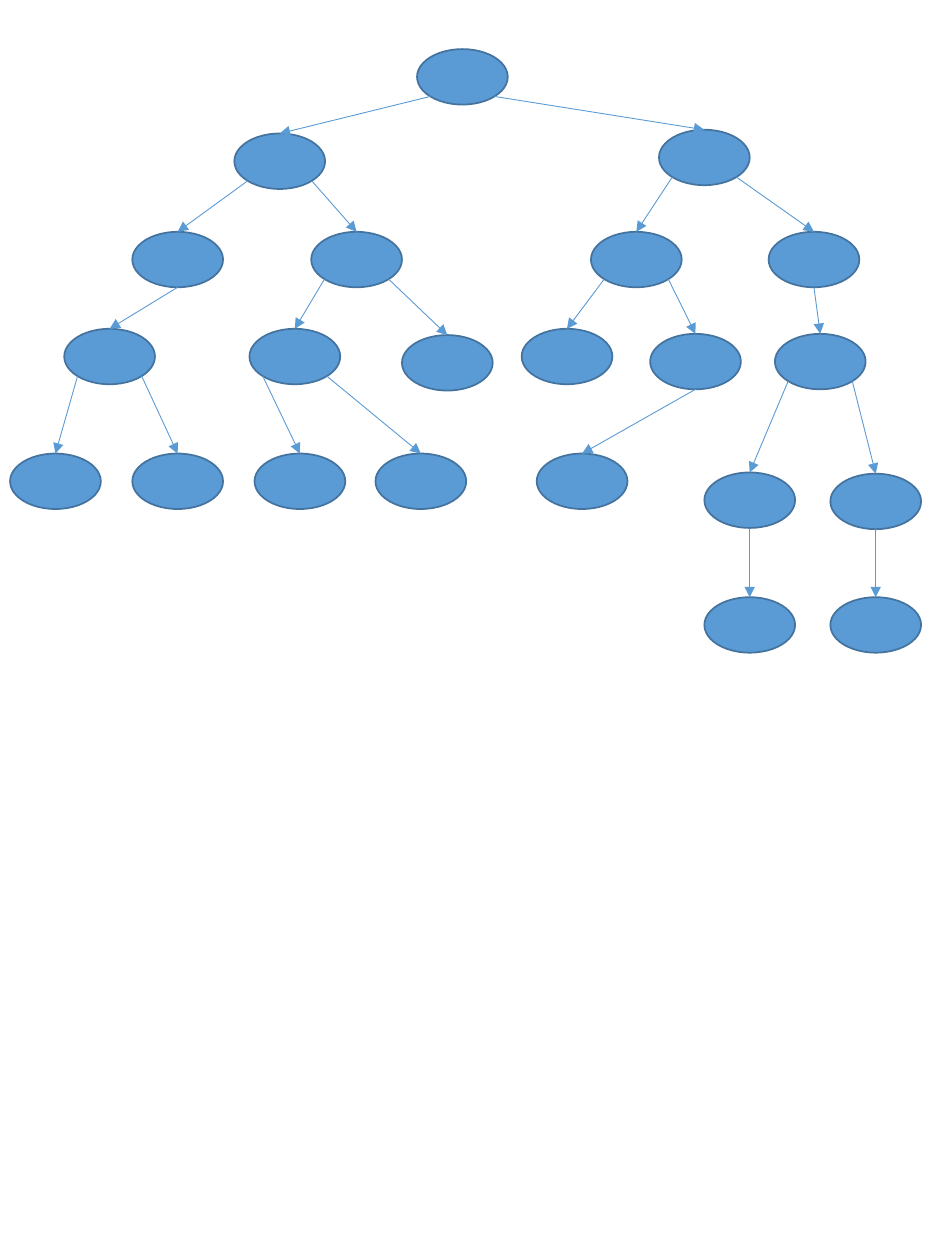
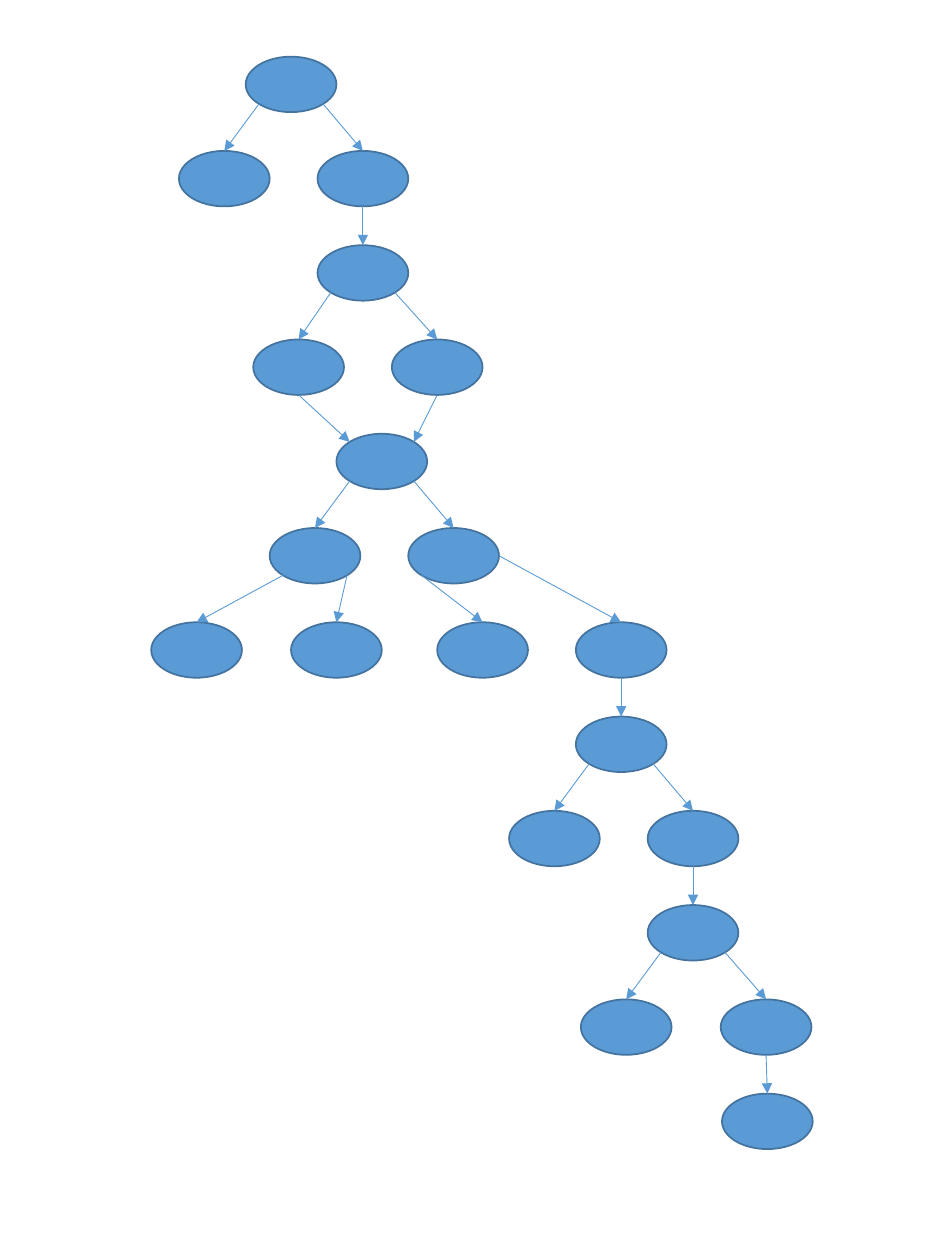
"""Two slides of node diagrams: a binary tree and a branching flow."""
from lxml import etree
from pptx import Presentation
from pptx.dml.color import RGBColor
from pptx.enum.shapes import MSO_CONNECTOR, MSO_SHAPE
from pptx.oxml.ns import qn
from pptx.util import Inches, Pt

COLORS = {"node": "5B9BD5", "outline": "43739E", "arrow": "5B9BD5"}
NODE_W, NODE_H = 0.72, 0.44
DIAGONAL = 0.5 ** 0.5 / 2

# Connection sites of an ellipse: index and offset from the centre,
# as a fraction of width and height.
SITES = {
    "top": (0, 0, -0.5),
    "top left": (1, -DIAGONAL, -DIAGONAL),
    "bottom left": (3, -DIAGONAL, DIAGONAL),
    "bottom": (4, 0, 0.5),
    "bottom right": (5, DIAGONAL, DIAGONAL),
    "right": (6, 0.5, 0),
    "top right": (7, DIAGONAL, -DIAGONAL),
}

# A node is named by its path from the root. The last letter tells
# which site of the parent its arrow leaves from.
EXITS = {"L": "bottom left", "R": "bottom right", "D": "bottom", "E": "right"}

# Path: (left, top)
TREE = {
    "T": (3.31, 0.39),
    "TL": (1.86, 1.06), "TR": (5.23, 1.03),
    "TLL": (1.05, 1.84), "TLR": (2.47, 1.84),
    "TRL": (4.69, 1.84), "TRR": (6.10, 1.84),
    "TLLD": (0.51, 2.61), "TLRL": (1.98, 2.61), "TLRR": (3.19, 2.66),
    "TRLL": (4.14, 2.61), "TRLR": (5.16, 2.65), "TRRD": (6.15, 2.65),
    "TLLDL": (0.08, 3.60), "TLLDR": (1.05, 3.60),
    "TLRLL": (2.02, 3.60), "TLRLR": (2.98, 3.60), "TRLRD": (4.26, 3.60),
    "TRRDL": (5.59, 3.75), "TRRDR": (6.59, 3.76),
    "TRRDLD": (5.59, 4.74), "TRRDRD": (6.59, 4.74),
}

# Each row: path -> left. M is where two branches merge.
FLOW_ROWS = [
    {"T": 1.95},
    {"TL": 1.42, "TR": 2.52},
    {"TRD": 2.52},
    {"TRDL": 2.01, "TRDR": 3.11},
    {"M": 2.67},
    {"ML": 2.14, "MR": 3.24},
    {"MLL": 1.20, "MLR": 2.31, "MRL": 3.47, "MRE": 4.57},
    {"MRED": 4.57},
    {"MREDL": 4.04, "MREDR": 5.14},
    {"MREDRD": 5.14},
    {"MREDRDL": 4.61, "MREDRDR": 5.72},
    {"MREDRDRD": 5.73},
]
FLOW_TOP, FLOW_BOTTOM = 0.45, 8.68
MERGES = [("TRDL", "M", "top left"), ("TRDR", "M", "top right")]


def color(name):
    """Look up a named colour."""
    return RGBColor.from_string(COLORS[name])


def add_node(slide, left, top):
    """Draw one ellipse node."""
    node = slide.shapes.add_shape(
        MSO_SHAPE.OVAL, Inches(left), Inches(top), Inches(NODE_W), Inches(NODE_H))
    node.shadow.inherit = False
    node.fill.solid()
    node.fill.fore_color.rgb = color("node")
    node.line.color.rgb = color("outline")
    node.line.width = Pt(1)
    return node


def site_point(node, site):
    """Return the position of a connection site on a node."""
    _, dx, dy = SITES[site]
    return (int(node.left + node.width * (0.5 + dx)),
            int(node.top + node.height * (0.5 + dy)))


def add_arrow(slide, source, exit_site, target, entry_site="top"):
    """Draw an arrow glued to a site on each of two nodes."""
    arrow = slide.shapes.add_connector(
        MSO_CONNECTOR.STRAIGHT,
        *site_point(source, exit_site), *site_point(target, entry_site))
    arrow.line.color.rgb = color("arrow")
    arrow.line.width = Pt(0.5)
    etree.SubElement(arrow.line._get_or_add_ln(), qn("a:tailEnd"), type="triangle")
    etree.SubElement(arrow._element.spPr, qn("a:effectLst"))
    glue = arrow._element.find(".//" + qn("p:cNvCxnSpPr"))
    for tag, node, site in (("a:stCxn", source, exit_site),
                            ("a:endCxn", target, entry_site)):
        etree.SubElement(glue, qn(tag), id=str(node.shape_id), idx=str(SITES[site][0]))


def add_diagram(prs, places, merges=()):
    """Add a slide with nodes, arrows from parents, and merging arrows."""
    slide = prs.slides.add_slide(prs.slide_layouts[6])
    nodes = {path: add_node(slide, *place) for path, place in places.items()}
    for path, node in nodes.items():
        parent = nodes.get(path[:-1])
        if parent is not None:
            add_arrow(slide, parent, EXITS[path[-1]], node)
    for source, target, entry_site in merges:
        add_arrow(slide, nodes[source], "bottom", nodes[target], entry_site)


def flow_places():
    """Spread the flow rows evenly down the page."""
    pitch = (FLOW_BOTTOM - FLOW_TOP) / (len(FLOW_ROWS) - 1)
    return {path: (left, FLOW_TOP + row * pitch)
            for row, lefts in enumerate(FLOW_ROWS)
            for path, left in lefts.items()}


def main():
    """Build both slides and save them."""
    prs = Presentation()
    prs.slide_width, prs.slide_height = Inches(7.5), Inches(10)
    add_diagram(prs, TREE)
    add_diagram(prs, flow_places(), MERGES)
    prs.save("out.pptx")


main()
